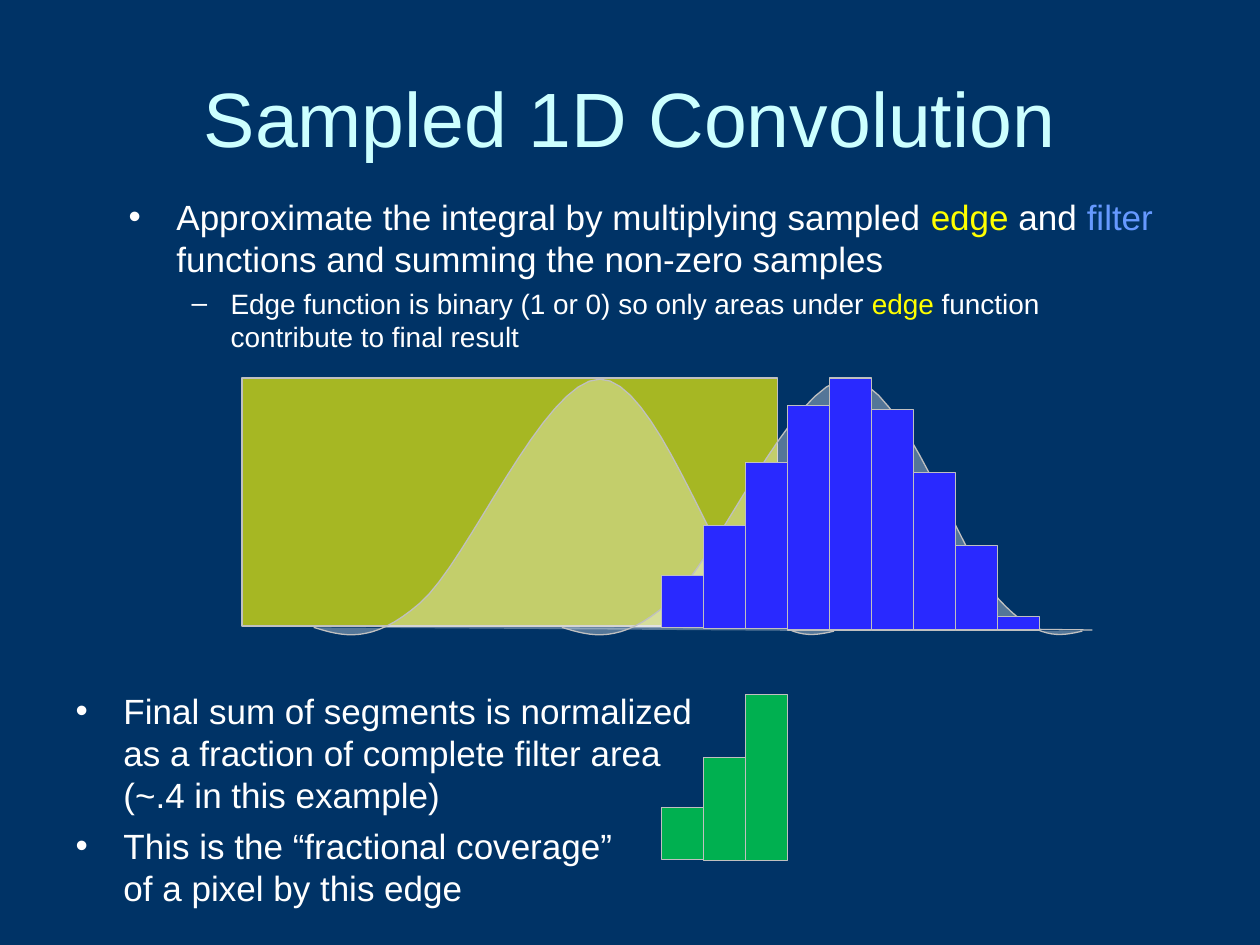
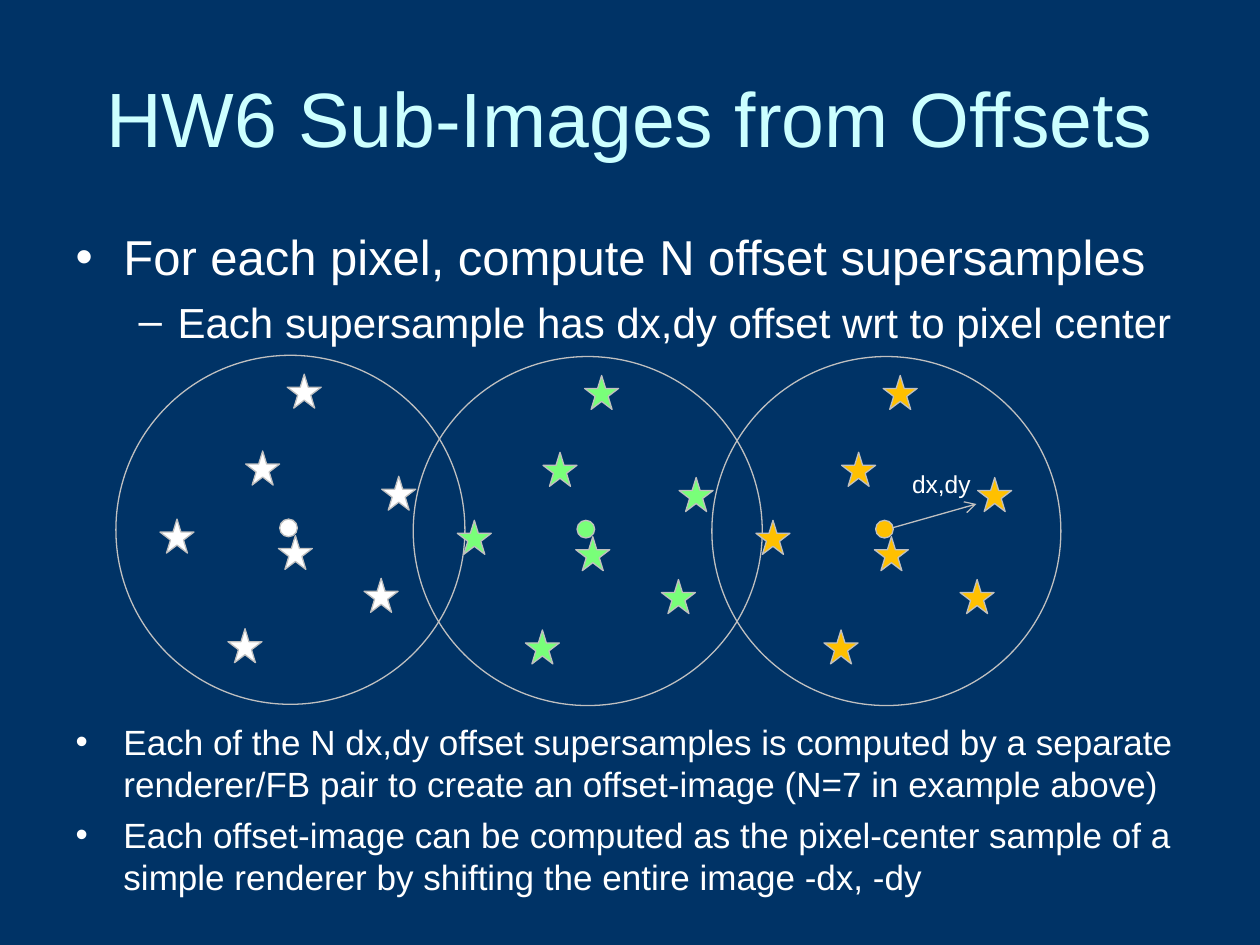
"""Build two slides on sampled convolution and supersample offsets."""
from lxml import etree
from pptx import Presentation
from pptx.dml.color import RGBColor
from pptx.enum.shapes import MSO_CONNECTOR, MSO_SHAPE
from pptx.enum.text import MSO_ANCHOR, MSO_AUTO_SIZE, PP_ALIGN
from pptx.oxml.ns import qn
from pptx.util import Inches, Pt

RECT = MSO_SHAPE.RECTANGLE
OVAL = MSO_SHAPE.OVAL
STAR = MSO_SHAPE.STAR_5_POINT
LINE = MSO_CONNECTOR.STRAIGHT
MID, TOP = MSO_ANCHOR.MIDDLE, MSO_ANCHOR.TOP
FIXED = MSO_AUTO_SIZE.NONE
LEFT, CENTER = PP_ALIGN.LEFT, PP_ALIGN.CENTER

NAVY, ICE, WHITE, GRAY = "003366", "CCFFFF", "FFFFFF", "C0C0C0"
YELLOW, SKY, BLUE, GREEN = "FFFF00", "6699FF", "2929FF", "00B050"
MINT, AMBER = "79FF79", "FFC000"
BULLETS = (("•", 0.38, 0.38), ("–", 0.81, 0.31))

BAR = 1 / 3
BARS = ((4.57, 4.98), (4.17, 4.99), (3.67, 4.99), (3.22, 5), (3, 5),
        (3.25, 5), (3.75, 5), (4.33, 5), (4.89, 5))
DROP = 1.84
BELL = ((0, 1.98), (0.23, 2.05), (0.46, 2.12), (0.84, 1.79),
        (1.22, 1.47), (1.83, 0.01), (2.27, 0.01),
        (2.7, 0), (3.16, 1.42), (3.47, 1.76),
        (3.78, 2.09), (3.95, 2.05), (4.13, 2.01))
STARS = ((1.36, 0.15), (1.03, 0.76), (2.11, 0.96), (1.97, 1.77),
         (0.35, 1.3), (1.29, 1.43), (0.89, 2.17))
CLOUDS = ((0.92, 2.82, WHITE), (3.28, 2.83, MINT), (5.65, 2.83, AMBER))


def rgb(code):
    return RGBColor.from_string(code)


def write(para, text, size=20, color=WHITE, font="Arial", align=LEFT):
    para.alignment = align
    for i, line in enumerate(text.split("\n")):
        if i:
            para.add_line_break()
        run = para.add_run()
        run.text = line
        run.font.size = Pt(size)
        run.font.name = font
        run.font.color.rgb = rgb(color)


def trace(knots, steps=16):
    points = [knots[0]]
    for i in range(0, len(knots) - 1, 3):
        a, b, c, d = knots[i:i + 4]
        for n in range(1, steps + 1):
            t = n / steps
            u = 1 - t
            points.append(tuple(
                u**3 * p + 3 * u * u * t * q + 3 * u * t * t * r + t**3 * s
                for p, q, r, s in zip(a, b, c, d)))
    return points


class Deck:
    def __init__(self):
        self.prs = Presentation()
        self.prs.slide_width = Inches(10)
        self.prs.slide_height = Inches(7.5)
        fill = self.prs.slide_master.background.fill
        fill.solid()
        fill.fore_color.rgb = rgb(NAVY)

    def page(self, title):
        self.slide = self.prs.slides.add_slide(self.prs.slide_layouts[3])
        self.shapes = self.slide.shapes
        frame = self.place(0, (0.5, 0.3, 9, 1.25), MID)
        write(frame.paragraphs[0], title, size=44, color=ICE, align=CENTER)

    def place(self, index, box, anchor=TOP):
        holder = self.slide.placeholders[index]
        holder.left, holder.top, holder.width, holder.height = map(Inches, box)
        frame = holder.text_frame
        frame.auto_size = FIXED
        frame.word_wrap = True
        frame.vertical_anchor = anchor
        return frame

    def list(self, index, box, items):
        frame = self.place(index, box)
        for i, (level, size, parts) in enumerate(items):
            para = frame.add_paragraph() if i else frame.paragraphs[0]
            para.level = level
            self.bullet(para, level)
            para.space_before = Pt(size / 4 if i else 0)
            for text, color in parts:
                write(para, text, size=size, color=color)

    def bullet(self, para, level):
        mark, left, hang = BULLETS[level]
        props = para._p.get_or_add_pPr()
        props.set("marL", str(Inches(left)))
        props.set("indent", str(-Inches(hang)))
        tint = etree.SubElement(props, qn("a:buClr"))
        etree.SubElement(tint, qn("a:srgbClr"), val=WHITE)
        etree.SubElement(props, qn("a:buFont"), typeface="Arial")
        etree.SubElement(props, qn("a:buChar"), char=mark)

    def paint(self, shape, color, alpha=100):
        shape.shadow.inherit = False
        if color:
            shape.fill.solid()
            shape.fill.fore_color.rgb = rgb(color)
            if alpha < 100:
                node = shape._element.spPr.find(".//" + qn("a:srgbClr"))
                etree.SubElement(node, qn("a:alpha"), val=str(alpha * 1000))
        else:
            shape.fill.background()
        self.edge(shape)

    def edge(self, shape):
        shape.line.color.rgb = rgb(GRAY)
        shape.line.width = Pt(0.75)

    def shape(self, kind, box, color=None, alpha=100):
        self.paint(self.shapes.add_shape(kind, *map(Inches, box)), color, alpha)

    def bell(self, left, top):
        points = [(Inches(left + x), Inches(top + y)) for x, y in trace(BELL)]
        path = self.shapes.build_freeform(*points[0])
        path.add_line_segments(points[1:], close=False)
        self.paint(path.convert_to_shape(), WHITE, 33)

    def line(self, ends, arrow=False):
        line = self.shapes.add_connector(LINE, *map(Inches, ends))
        self.edge(line)
        if arrow:
            etree.SubElement(line.line._get_or_add_ln(), qn("a:tailEnd"),
                             type="arrow")
        etree.SubElement(line._element.spPr, qn("a:effectLst"))

    def label(self, box, text, size):
        frame = self.shapes.add_textbox(*map(Inches, box)).text_frame
        frame.word_wrap = True
        write(frame.paragraphs[0], text, size=size)

    def bars(self, spans, color, drop=0):
        for i, (top, base) in enumerate(spans):
            self.shape(RECT, (5.25 + i * BAR, top + drop, BAR, base - top),
                       color)

    def cloud(self, left, top, color):
        self.shape(OVAL, (left + 1.3, top + 1.3, 0.14, 0.14), color)
        self.shape(OVAL, (left, top, 2.77, 2.77))
        for x, y in STARS:
            self.shape(STAR, (left + x, top + y, 0.27, 0.27), color)


def convolve(deck):
    deck.page("Sampled 1D Convolution")
    deck.list(1, (0.92, 1.5, 8.42, 1.42), (
        (0, 20, (
            ("Approximate the integral by multiplying sampled ", WHITE),
            ("edge", YELLOW), (" and ", WHITE), ("filter", SKY),
            (" functions and summing the non-zero samples", WHITE))),
        (1, 16, (
            ("Edge function is binary (1 or 0) so only areas under ", WHITE),
            ("edge", YELLOW),
            (" function contribute to final result", WHITE)))))
    deck.shape(RECT, (1.92, 3, 4.25, 1.97), YELLOW, 65)
    deck.line((1.92, 3, 6.1, 3))
    deck.line((6.1, 4.97, 8.67, 5))
    for left in (2.49, 4.46):
        deck.bell(left, 3)
    deck.bars(BARS, BLUE)
    deck.bars(BARS[:3], GREEN, DROP)
    deck.list(2, (0.5, 5.42, 8.42, 1.42), (
        (0, 20, (("Final sum of segments is normalized\n"
                  "as a fraction of complete filter area\n"
                  "(~.4 in this example)", WHITE),)),
        (0, 20, (("This is the “fractional coverage”\n"
                  "of a pixel by this edge", WHITE),))))


def offsets(deck):
    deck.page("HW6 Sub-Images from Offsets")
    deck.list(1, (0.5, 1.75, 9, 1.05), (
        (0, 28, (("For each pixel, compute N offset supersamples", WHITE),)),
        (1, 24, (("Each supersample has dx,dy offset wrt to pixel center",
                  WHITE),))))
    deck.list(2, (0.5, 5.67, 9, 1.66), (
        (0, 20, (("Each of the N dx,dy offset supersamples is computed by a "
                  "separate renderer/FB pair to create an offset-image "
                  "(N=7 in example above)", WHITE),)),
        (0, 20, (("Each offset-image can be computed as the pixel-center "
                  "sample of a simple renderer by shifting the entire image "
                  "-dx, -dy", WHITE),))))
    for spot in CLOUDS:
        deck.cloud(*spot)
    deck.line((7.08, 4.19, 7.75, 4), arrow=True)
    deck.label((7.14, 3.67, 0.83, 0.34), "dx,dy", 14)


def main():
    deck = Deck()
    convolve(deck)
    offsets(deck)
    deck.prs.save("out.pptx")


if __name__ == "__main__":
    main()
